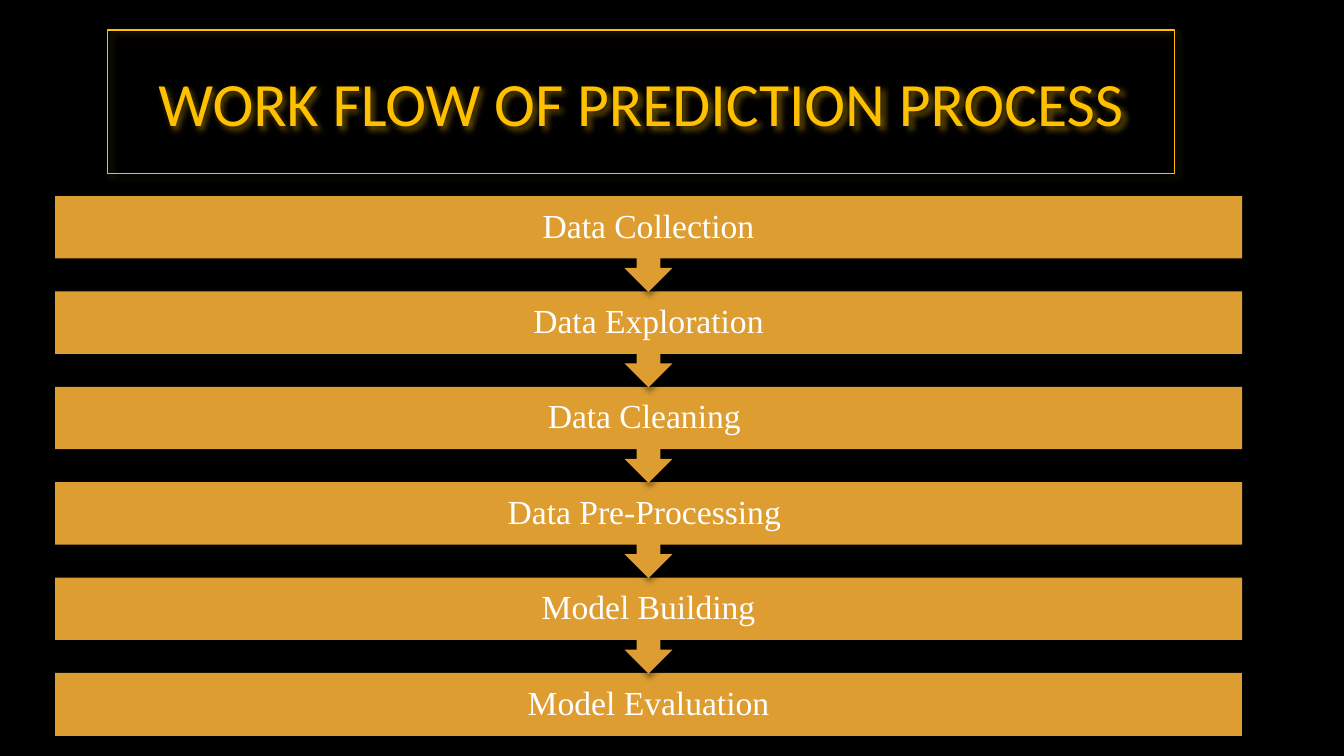
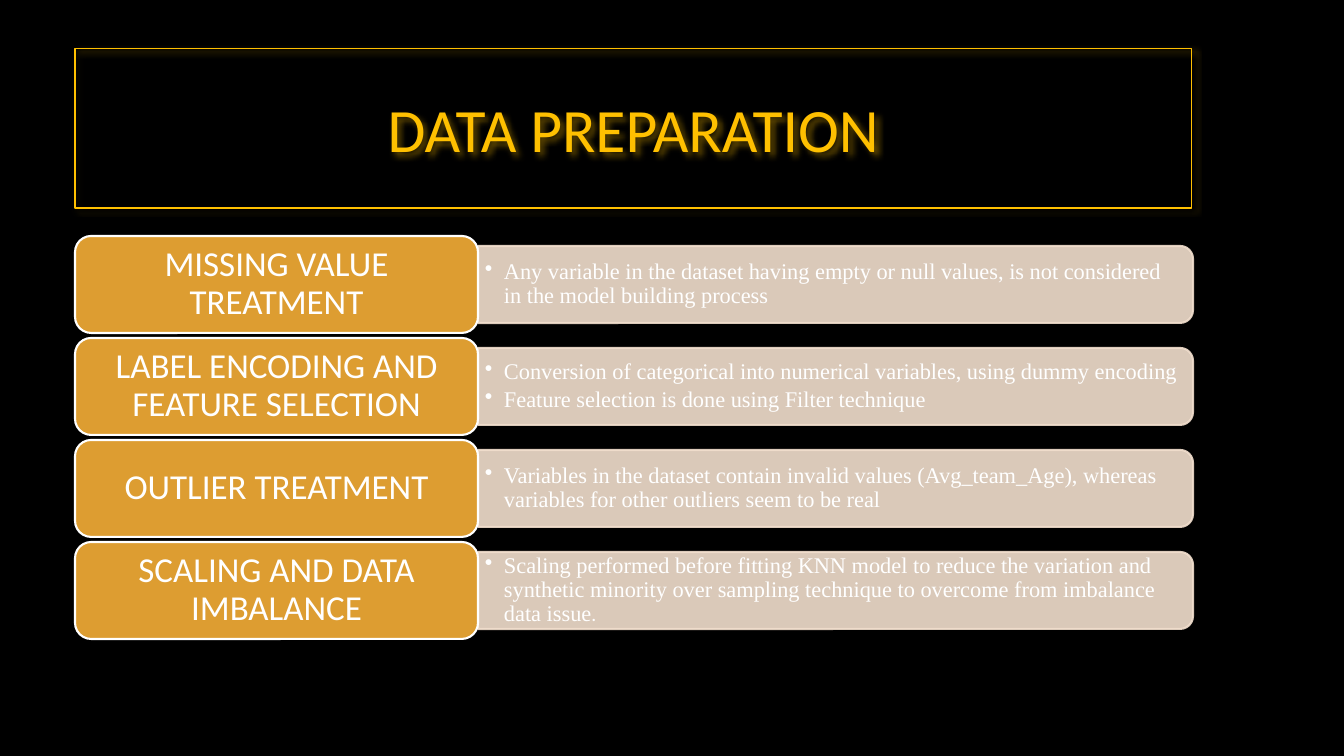
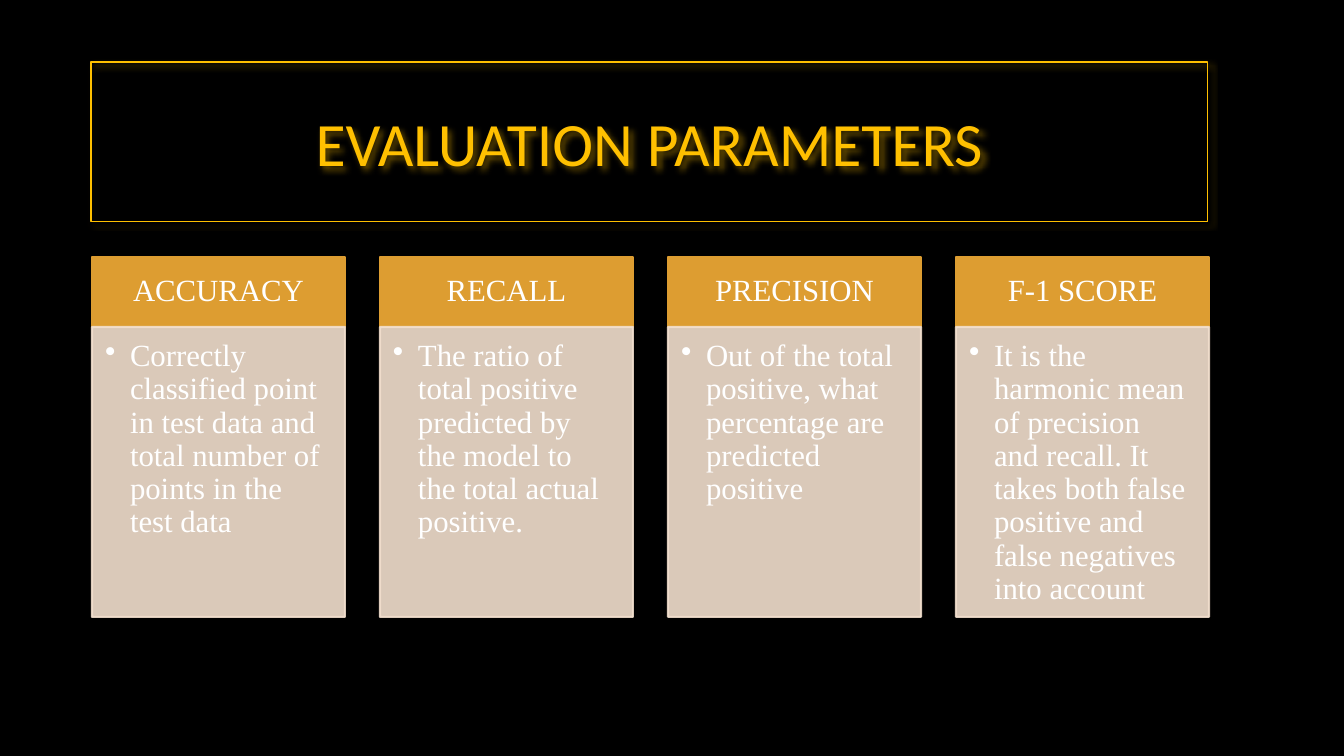
from dataclasses import dataclass

from lxml.etree import SubElement
from pptx import Presentation
from pptx.dml.color import RGBColor
from pptx.enum.shapes import MSO_SHAPE as SHAPE
from pptx.enum.text import MSO_ANCHOR as ANCHOR, MSO_AUTO_SIZE as AUTO, PP_ALIGN as ALIGN
from pptx.oxml.ns import qn
from pptx.util import Pt

PX = 914400 / 100.8
SLIDE_W, SLIDE_H = 1344, 756


@dataclass(frozen=True)
class Style:
    font: str
    size: int
    color: str = "FFFFFF"


class Theme:
    BACKGROUND = "000000"
    GOLD = "FFC000"
    AMBER = "DD9D31"
    CREAM = "F2DFCE"
    WHITE = "FFFFFF"
    CREAM_ALPHA = 90
    TITLE = Style("Calibri", 44, GOLD)
    STEP = Style("Times New Roman", 24)
    LABEL = Style("Calibri", 25)
    DETAIL = Style("Times New Roman", 16)
    DETAIL_END = Style("Calibri", 14)
    CARD = Style("Times New Roman", 22)


STEPS = ["Data Collection", "Data Exploration", "Data Cleaning ",
         "Data Pre-Processing ", "Model Building", "Model Evaluation"]

# Each detail is a list of paragraphs, each paragraph a list of (text, style) runs.
TREATMENTS = [
    ("MISSING VALUE TREATMENT", [
        [("Any variable in the dataset having empty or null values, is not considered "
          "in the model building process", Theme.DETAIL)]]),
    ("LABEL ENCODING AND FEATURE SELECTION", [
        [("Conversion of categorical into numerical variables, using dummy encoding",
          Theme.DETAIL)],
        [("Feature selection is done using Filter technique", Theme.DETAIL)]]),
    ("OUTLIER TREATMENT", [
        [("Variables in the dataset contain invalid values (Avg_team_Age), whereas "
          "variables for other outliers seem to be real", Theme.DETAIL)]]),
    ("SCALING AND DATA IMBALANCE", [
        [("Scaling performed before fitting KNN model to reduce the variation and "
          "synthetic minority over sampling technique to overcome from imbalance "
          "data issue", Theme.DETAIL),
         (".", Theme.DETAIL_END)]]),
]

METRICS = [
    ("ACCURACY", "Correctly classified point in test data and total number of points "
                 "in the test data"),
    ("RECALL", "The ratio of total positive predicted by the model to the total actual "
               "positive."),
    ("PRECISION", "Out of the total positive, what percentage are predicted positive"),
    ("F-1 SCORE", "It is the harmonic mean of precision and recall. It takes both false "
                  "positive and false negatives into account"),
]


def emu(px):
    return round(px * PX)


def emu_box(box):
    return [emu(v) for v in box]


def paint(fmt, color, alpha=100):
    """Make a fill solid, with an optional opacity in percent."""
    fmt.solid()
    fmt.fore_color.rgb = RGBColor.from_string(color)
    if alpha < 100:
        clr = fmt._xPr.find(qn("a:solidFill"))[0]
        SubElement(clr, qn("a:alpha"), val=str(alpha * 1000))


def add_shadow(sp, color, alpha, blur, dist, angle):
    """Add an outer shadow; blur and dist are in points."""
    sp.shadow.inherit = False
    effects = sp._element.spPr.find(qn("a:effectLst"))
    shadow = SubElement(effects, qn("a:outerShdw"), blurRad=str(Pt(blur)),
                        dist=str(Pt(dist)), dir=str(angle * 60000), rotWithShape="0")
    clr = SubElement(shadow, qn("a:srgbClr"), val=color)
    SubElement(clr, qn("a:alpha"), val=str(alpha * 1000))


def add_block(s, kind, box, fill, line=None, alpha=100):
    sp = s.shapes.add_shape(kind, *emu_box(box))
    sp.shadow.inherit = False
    paint(sp.fill, fill, alpha)
    if line:
        paint(sp.line.fill, line, alpha)
        sp.line.width = Pt(1.5)
    else:
        sp.line.fill.background()
    return sp


def write(sp, paragraphs, insets, anchor=ANCHOR.MIDDLE, bullet=0, spacing=0.9):
    """Fill a shape with paragraphs of runs; bullet is the hanging indent in px."""
    tf = sp.text_frame
    tf.word_wrap = True
    tf.auto_size = AUTO.NONE
    tf.vertical_anchor = anchor
    tf.margin_left, tf.margin_top, tf.margin_right, tf.margin_bottom = emu_box(insets)
    for i, runs in enumerate(paragraphs):
        p = tf.add_paragraph() if i else tf.paragraphs[0]
        p.alignment = ALIGN.LEFT if bullet else ALIGN.CENTER
        p.line_spacing = spacing
        if bullet:
            p.space_after = Pt(0.15 * runs[0][1].size)
            pPr = p._p.get_or_add_pPr()
            pPr.set("marL", str(emu(bullet)))
            pPr.set("indent", str(-emu(bullet)))
            SubElement(pPr, qn("a:buChar"), char="•")
        for text, style in runs:
            r = p.add_run()
            r.text = text
            r.font.name = style.font
            r.font.size = Pt(style.size)
            r.font.color.rgb = RGBColor.from_string(style.color)


def add_titled_slide(prs, title, box):
    s = prs.slides.add_slide(prs.slide_layouts[5])
    sp = s.shapes.title
    sp.left, sp.top, sp.width, sp.height = emu_box(box)
    paint(sp.line.fill, Theme.GOLD)
    sp.line.width = Pt(0.75)
    add_shadow(sp, Theme.GOLD, 40, blur=4, dist=3, angle=45)
    write(sp, [[(title, Theme.TITLE)]], (10, 5, 10, 5), spacing=1.0)
    return s


def add_workflow(s, box, steps):
    """Stack the steps, each one pointing down to the next."""
    x, y, w, h = box
    bar_h, callout_h = 63, 96
    pitch = (h - bar_h) / (len(steps) - 1)
    for i, text in reversed(list(enumerate(steps))):
        last = i == len(steps) - 1
        kind = SHAPE.RECTANGLE if last else SHAPE.DOWN_ARROW_CALLOUT
        height = bar_h if last else callout_h
        sp = add_block(s, kind, (x, y + i * pitch, w, height), Theme.AMBER)
        add_shadow(sp, Theme.BACKGROUND, 35, blur=4, dist=3, angle=90)
        write(sp, [[(text, Theme.STEP)]], (19, 0, 19, 0))


def add_treatment(s, box, label, details):
    """Place a label with a detail bar, rounded at its right end, beside it."""
    x, y, w, h = box
    label_w, inset = 403, 10
    bar_x, bar_y = x + label_w, y + inset
    bar_w, bar_h = w - label_w, h - 2 * inset
    turn = (bar_w - bar_h) / 2
    bar = add_block(s, SHAPE.ROUND_2_SAME_RECTANGLE,
                    (bar_x + turn, bar_y - turn, bar_h, bar_w),
                    Theme.CREAM, Theme.CREAM, Theme.CREAM_ALPHA)
    bar.rotation = 90
    tb = s.shapes.add_textbox(*emu_box((bar_x, bar_y + 4, bar_w - 4, bar_h - 8)))
    write(tb, details, (7, 3, 7, 3), bullet=19)
    sp = add_block(s, SHAPE.ROUNDED_RECTANGLE, (x, y, label_w, h),
                   Theme.AMBER, Theme.WHITE)
    write(sp, [[(label, Theme.LABEL)]], (10, 5, 10, 5))


def add_metric_card(s, box, name, meaning):
    x, y, w, h = box
    head_h = 70
    head = add_block(s, SHAPE.RECTANGLE, (x, y, w, head_h), Theme.AMBER, Theme.AMBER)
    write(head, [[(name, Theme.CARD)]], (17, 10, 17, 10))
    body = add_block(s, SHAPE.RECTANGLE, (x, y + head_h, w, h - head_h),
                     Theme.CREAM, Theme.CREAM, Theme.CREAM_ALPHA)
    write(body, [[(meaning, Theme.CARD)]], (13, 13, 17, 19), ANCHOR.TOP, bullet=25)


def main():
    prs = Presentation()
    prs.slide_width, prs.slide_height = emu(SLIDE_W), emu(SLIDE_H)
    paint(prs.slide_master.background.fill, Theme.BACKGROUND)

    s = add_titled_slide(prs, "WORK FLOW OF PREDICTION PROCESS", (108, 30, 1067, 144))
    add_workflow(s, (55, 196, 1187, 540), STEPS)

    s = add_titled_slide(prs, "DATA PREPARATION", (75, 48, 1117, 160))
    for i, (label, details) in enumerate(TREATMENTS):
        add_treatment(s, (75, 236 + 102 * i, 1118, 97), label, details)

    s = add_titled_slide(prs, "EVALUATION PARAMETERS", (91, 62, 1117, 160))
    for i, (name, meaning) in enumerate(METRICS):
        add_metric_card(s, (92, 257 + 288 * i * 0, 253, 360) if i == 0 else
                        (92 + 288 * i, 257, 253, 360), name, meaning)

    prs.save("out.pptx")


if __name__ == "__main__":
    main()
